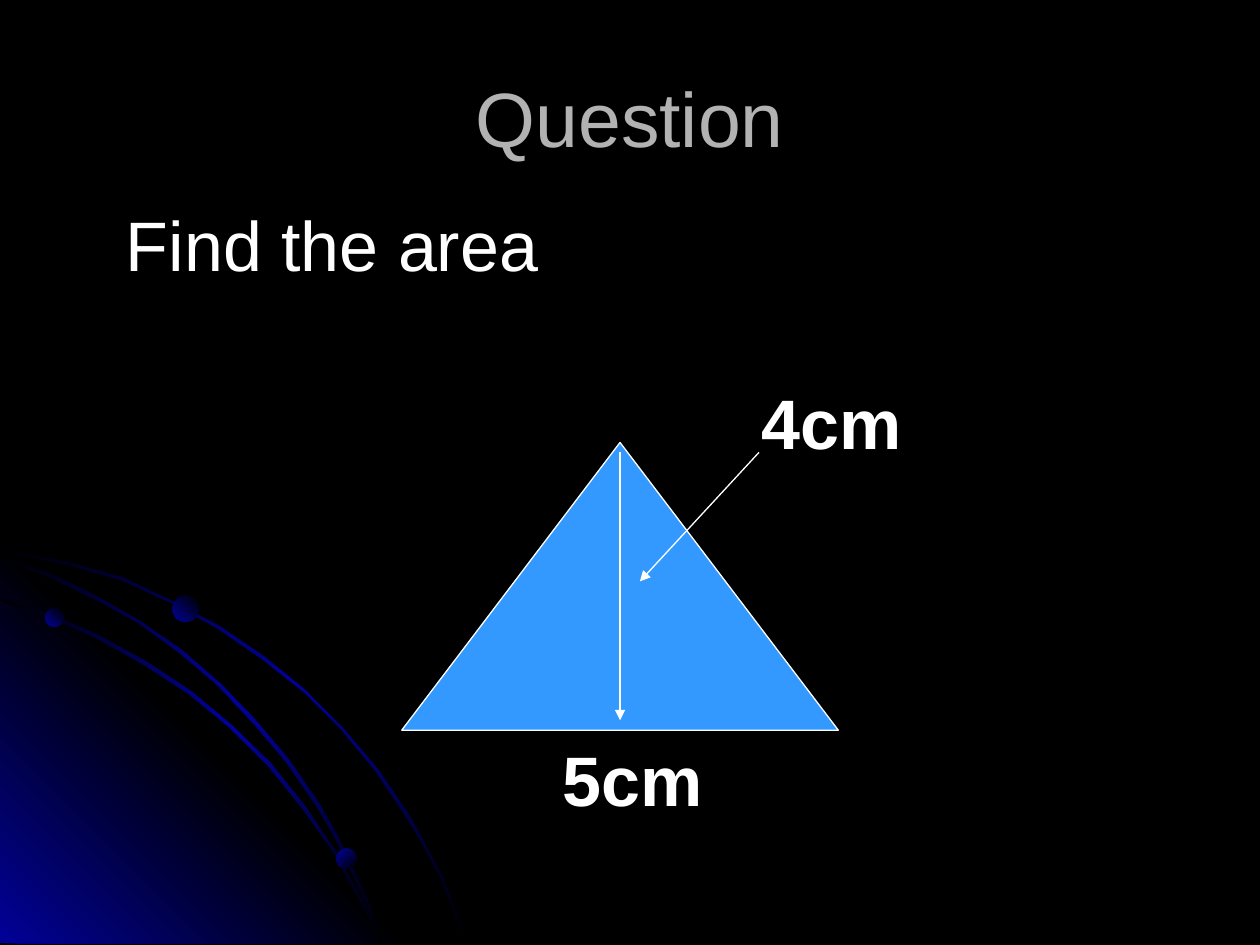
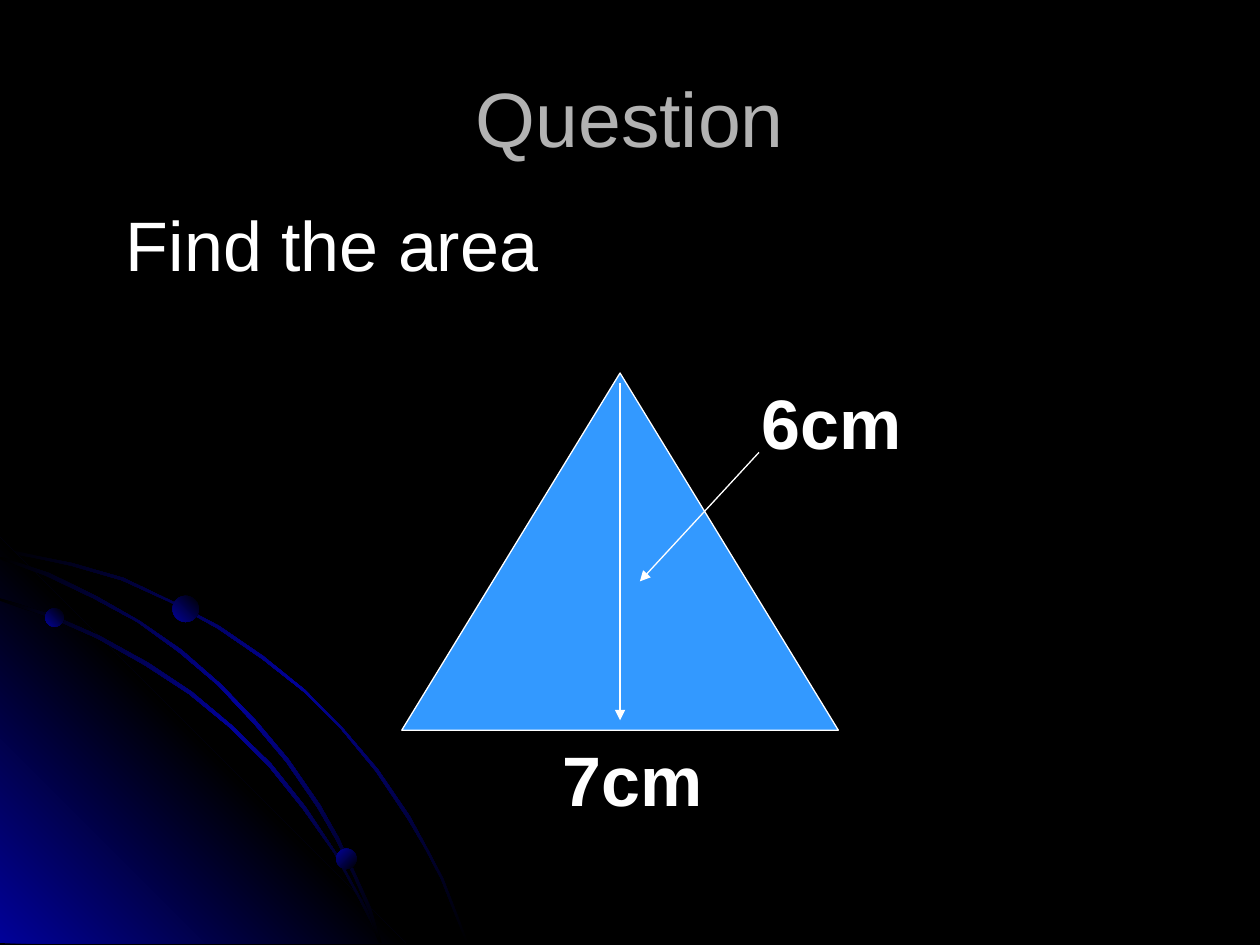
from copy import deepcopy

from lxml import etree
from pptx import Presentation
from pptx.dml.color import RGBColor
from pptx.enum.shapes import MSO_CONNECTOR, MSO_SHAPE
from pptx.enum.text import MSO_ANCHOR, PP_ALIGN
from pptx.oxml.ns import qn
from pptx.util import Cm, Pt

STRAIGHT = MSO_CONNECTOR.STRAIGHT
OVAL = MSO_SHAPE.OVAL
TRIANGLE = MSO_SHAPE.ISOSCELES_TRIANGLE
MIDDLE, TOP = MSO_ANCHOR.MIDDLE, MSO_ANCHOR.TOP
CENTER, LEFT = PP_ALIGN.CENTER, PP_ALIGN.LEFT

FONT = "Arial"
COLORS = {
    "background": "000000",
    "glow": "010199",
    "title": "B2B2B2",
    "text": "FFFFFF",
    "triangle": "3399FF",
}
RISING, FALLING = 225, 135
STREAK_STOPS = ("background", "glow", "background")
WEDGE_STOPS = ("glow", "background", "glow")
DOT_STOPS = ("background", "glow")

WEDGE = [(818, 818), (0, 818), (0, 0)]
OUTER_STREAK = [
    (145, 51), (71, 36), (0, 20), (0, 28), (71, 41), (142, 56), (246, 86),
    (343, 130), (439, 183), (528, 244), (612, 310), (688, 386), (757, 470),
    (820, 564), (856, 625), (889, 688), (914, 752), (940, 818), (945, 818),
    (919, 752), (894, 688), (861, 625), (826, 561), (762, 467), (691, 384),
    (615, 307), (531, 239), (442, 178), (345, 127), (249, 81),
]
INNER_STREAK = [
    (724, 729), (747, 775), (765, 818), (770, 818), (752, 770), (726, 724),
    (676, 632), (615, 541), (546, 455), (467, 378), (386, 310), (297, 251),
    (201, 198), (104, 155), (0, 122), (0, 127), (99, 160), (196, 203),
    (292, 257), (381, 315), (465, 384), (541, 460), (610, 546), (673, 635),
]
MIDDLE_STREAK = [
    (0, 38), (0, 43), (91, 76), (188, 122), (277, 170), (361, 231),
    (439, 297), (513, 376), (577, 452), (640, 544), (678, 610), (711, 678),
    (742, 749), (765, 818), (770, 818), (747, 744), (716, 676), (683, 605),
    (645, 538), (582, 447), (518, 371), (445, 295), (366, 226), (282, 168),
    (193, 117), (99, 71),
]
OUTLINES = [
    (OUTER_STREAK, STREAK_STOPS, FALLING),
    (WEDGE, WEDGE_STOPS, RISING),
    (INNER_STREAK, STREAK_STOPS, FALLING),
    (MIDDLE_STREAK, STREAK_STOPS, FALLING),
]
DOTS = [
    (0.91, 1.42, 0.38, RISING),
    (6.78, 6.27, 0.41, FALLING),
    (3.48, 1.17, 0.53, RISING),
]
QUESTIONS = [
    {"height": "4cm", "base": "5cm", "triangle_height": 5.8},
    {"height": "6cm", "base": "7cm", "triangle_height": 7.2},
]


def color(name):
    """Return the named palette colour."""
    return RGBColor.from_string(COLORS[name])


def paint_gradient(shape, stop_names, angle):
    """Fill a borderless shape with evenly spaced gradient stops."""
    shape.shadow.inherit = False
    shape.line.fill.background()
    shape.fill.gradient()
    shape.fill.gradient_angle = angle
    stop_list = next(shape._element.iter(qn("a:gsLst")))
    while len(stop_list) < len(stop_names):
        stop_list.append(deepcopy(stop_list[-1]))
    for index, stop in enumerate(shape.fill.gradient_stops):
        stop.color.rgb = color(stop_names[index])
        stop.position = index / (len(stop_names) - 1)


def add_backdrop(slide, left, top):
    """Draw the glowing corner with its streaks and dots."""
    for points, stop_names, angle in OUTLINES:
        builder = slide.shapes.build_freeform(*points[0], scale=Cm(0.01))
        builder.add_line_segments(points[1:], close=True)
        shape = builder.convert_to_shape(Cm(left), Cm(top))
        paint_gradient(shape, stop_names, angle)
    for x, y, size, angle in DOTS:
        dot = slide.shapes.add_shape(OVAL, Cm(left + x), Cm(top + y), Cm(size), Cm(size))
        paint_gradient(dot, DOT_STOPS, angle)


def add_text(slide, text, left, top, width, height=1.96, size=40, bold=False,
             color_name="text", alignment=LEFT, anchor=TOP):
    """Add a single-paragraph text box."""
    box = slide.shapes.add_textbox(Cm(left), Cm(top), Cm(width), Cm(height))
    frame = box.text_frame
    frame.word_wrap = True
    frame.vertical_anchor = anchor
    paragraph = frame.paragraphs[0]
    paragraph.text = text
    paragraph.alignment = alignment
    paragraph.font.name = FONT
    paragraph.font.size = Pt(size)
    paragraph.font.bold = bold
    paragraph.font.color.rgb = color(color_name)


def add_arrow(slide, start_x, start_y, end_x, end_y):
    """Draw a thin arrow that points at its end."""
    arrow = slide.shapes.add_connector(
        STRAIGHT, Cm(start_x), Cm(start_y), Cm(end_x), Cm(end_y))
    arrow.line.color.rgb = color("text")
    arrow.line.width = Pt(0.75)
    etree.SubElement(arrow.line._get_or_add_ln(), qn("a:tailEnd"), type="triangle")
    etree.SubElement(arrow._element.spPr, qn("a:effectLst"))


def add_triangle_figure(slide, question, left, base, width):
    """Draw the triangle standing on its base line, with both measures."""
    height = question["triangle_height"]
    apex = base - height
    middle = left + width / 2
    add_text(slide, question["height"], left + 7, base - 7.2, 5.38, bold=True)
    add_text(slide, question["base"], left + 3, base, 4.19, bold=True)
    triangle = slide.shapes.add_shape(TRIANGLE, Cm(left), Cm(apex), Cm(width), Cm(height))
    triangle.shadow.inherit = False
    triangle.fill.solid()
    triangle.fill.fore_color.rgb = color("triangle")
    triangle.line.color.rgb = color("text")
    triangle.line.width = Pt(0.75)
    add_arrow(slide, middle, apex + 0.2, middle, base - 0.2)
    add_arrow(slide, left + 7.2, base - 5.6, left + 4.8, base - 3)


def add_question_slide(presentation, question):
    """Add one slide that asks for the area of a triangle."""
    slide = presentation.slides.add_slide(presentation.slide_layouts[6])
    add_backdrop(slide, 0, 10.84)
    add_text(slide, "Question", 1.27, 0.76, 22.86, 3.18, size=44,
             color_name="title", alignment=CENTER, anchor=MIDDLE)
    add_text(slide, "Find the area", 2.29, 3.94, 12)
    add_triangle_figure(slide, question, 8.1, 14.72, 8.8)


def main():
    """Build and save the presentation."""
    presentation = Presentation()
    presentation.slide_width = Cm(25.4)
    presentation.slide_height = Cm(19.05)
    background = presentation.slide_master.background.fill
    background.solid()
    background.fore_color.rgb = color("background")
    for question in QUESTIONS:
        add_question_slide(presentation, question)
    presentation.save("out.pptx")


if __name__ == "__main__":
    main()
